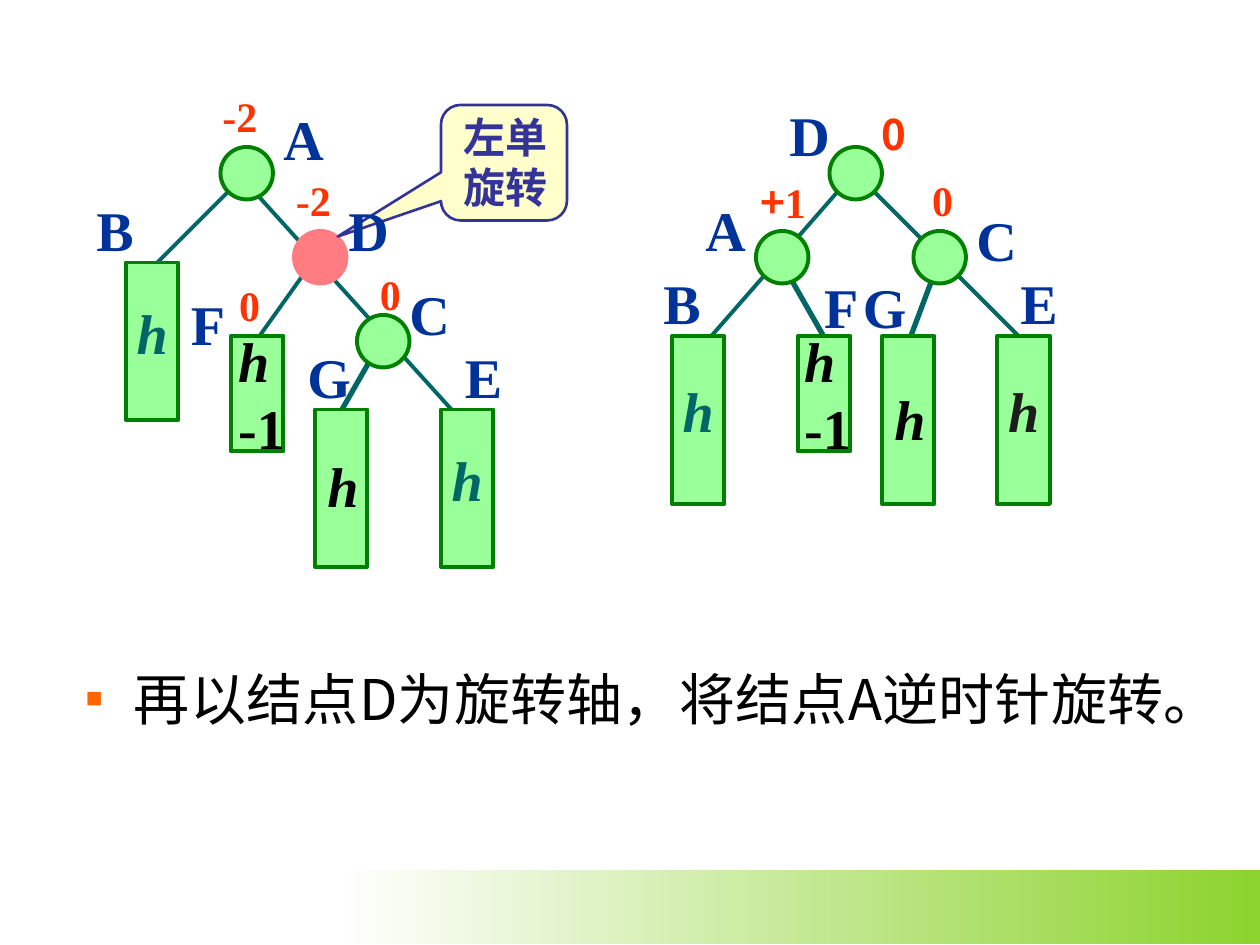
from lxml.etree import SubElement
from pptx import Presentation
from pptx.dml.color import RGBColor as RGB
from pptx.enum.shapes import MSO_CONNECTOR as CONN, MSO_SHAPE as SHAPE
from pptx.enum.text import MSO_ANCHOR as ANCHOR, PP_ALIGN as ALIGN
from pptx.oxml.ns import qn
from pptx.util import Inches, Pt

COLORS = {
    "white": "FFFFFF", "lime": "8CD32D", "black": "000000", "edge": "006666",
    "node": "99FF99", "border": "008000", "pivot": "FF7C80", "factor": "FF3300",
    "name": "003399", "note": "FFFFCC", "ink": "333399", "dark": "1C1C1C",
    "bullet": "FF6600",
}
SERIF, SANS = "Times New Roman", "Noto Sans CJK SC"

prs = Presentation()
prs.slide_width, prs.slide_height = Inches(10), Inches(7.5)
COL, ROW = prs.slide_width / 120, prs.slide_height / 90
s = prs.slides.add_slide(prs.slide_layouts[6])


def add_shape(kind, x, y, w, h, fill, line, width=2.25):
    sp = s.shapes.add_shape(kind, int(x * COL), int(y * ROW), int(w * COL), int(h * ROW))
    sp.shadow.inherit = False
    sp.fill.solid()
    sp.fill.fore_color.rgb = RGB.from_string(COLORS[fill])
    sp.line.color.rgb = RGB.from_string(COLORS[line])
    sp.line.width = Pt(width)
    return sp


def add_run(p, text, size, color, font=SERIF, bold=True, italic=False, leading=1.2):
    p.line_spacing = Pt(size * leading)
    r = p.add_run()
    r.text = text
    r.font.size, r.font.bold, r.font.italic = Pt(size), bold, italic
    r.font.color.rgb = RGB.from_string(COLORS[color])
    r.font.name = font
    SubElement(r.font._element, qn("a:ea"), typeface=SANS)


bar = add_shape(SHAPE.RECTANGLE, 32, 82.9, 88, 7, "white", "white")
bar.line.fill.background()
bar.fill.gradient()
bar.fill.gradient_angle = 0
for stop, color in zip(bar.fill.gradient_stops, ("white", "lime")):
    stop.color.rgb = RGB.from_string(COLORS[color])

edges = [
    (22, 18, 13, 27, 2.25), (24, 18, 43, 39, 2.25), (29, 26, 24, 33, 2.25), (36, 33, 32, 40, 3),
    (83, 18, 97, 32, 2.25), (80, 18, 66, 34, 2.25), (75, 26, 79, 33, 3), (89, 26, 86, 34, 3),
]
for x1, y1, x2, y2, width in edges:
    edge = s.shapes.add_connector(
        CONN.STRAIGHT, int(x1 * COL), int(y1 * ROW), int(x2 * COL), int(y2 * ROW))
    edge.line.color.rgb = RGB.from_string(COLORS["edge"])
    edge.line.width = Pt(width)
    SubElement(edge._element.spPr, qn("a:effectLst"))

subtrees = [
    (12, 25, 15, "edge"), (42, 39, 15, "edge"), (30, 39, 15, None), (22, 32, 11, None),
    (64, 32, 16, "edge"), (95, 32, 16, "dark"), (84, 32, 16, None), (76, 32, 11, None),
]
for x, y, h, color in subtrees:
    sp = add_shape(SHAPE.RECTANGLE, x, y, 5, h, "node", "border")
    if color:
        tf = sp.text_frame
        tf.word_wrap, tf.vertical_anchor = False, ANCHOR.MIDDLE
        p = tf.paragraphs[0]
        p.alignment = ALIGN.CENTER
        add_run(p, "h", 32, color, italic=True, leading=0.86)

for x, y in [(21, 14), (34, 30), (79, 14), (72, 22), (87, 22)]:
    add_shape(SHAPE.OVAL, x, y, 5, 5, "node", "border")
add_shape(SHAPE.OVAL, 28, 22, 5, 5, "pivot", "pivot")

callout = add_shape(SHAPE.ROUNDED_RECTANGULAR_CALLOUT, 42, 10, 12, 11, "note", "ink", 1.5)
for i, value in enumerate((-1.32, 0.64, 0.17)):
    callout.adjustments[i] = value

names = [
    ("A", 25.8, 9.4, 6.2), ("B", 8, 18, 5.9), ("C", 37.8, 26, 6.2), ("D", 32, 18, 6.2),
    ("E", 43.1, 32, 5.9), ("F", 17, 27, 5.6), ("G", 28.1, 32, 6.5),
    ("A", 66, 18, 6.2), ("B", 62, 25, 5.9), ("C", 91.8, 19, 6.2), ("D", 74, 9, 6.2),
    ("E", 96, 25, 5.9), ("F", 77.3, 25.4, 5.6), ("G", 81, 25.4, 6.5),
]
factors = [
    ("-2", 20, 8, 5.8), ("-2", 27, 16, 5.8), ("0", 35, 25, 4.3), ("0", 21.6, 26, 4.3),
    ("0", 87.6, 16, 4.3),
]
height_runs = [[("h", 32, "black", SERIF, True, True)]]
short_runs = height_runs + [[("-1", 32, "black")]]
labels = [(x, y, w, [[(text, 32, "name")]]) for text, x, y, w in names]
labels += [(x, y, w, [[(text, 24, "factor")]]) for text, x, y, w in factors]
labels += [
    (82.8, 9.7, 4.7, [[("0", 24, "factor", SANS)]]),
    (71.2, 16.2, 9, [[("+", 24, "factor", SANS), ("1", 24, "factor")]]),
    (43, 10, 10.4, [[("左单", 24, "ink")], [("旋转", 24, "ink")]]),
    (30, 42.4, 5.4, height_runs), (84, 36, 5.4, height_runs),
    (21.5, 30.5, 9, short_runs), (75.4, 30.5, 9, short_runs),
]
for x, y, w, lines in labels:
    size = lines[0][0][1]
    h = len(lines) * size / 5 + 1.2
    tf = s.shapes.add_textbox(int(x * COL), int(y * ROW), int(w * COL), int(h * ROW)).text_frame
    tf.word_wrap = w == 9
    for i, runs in enumerate(lines):
        p = tf.add_paragraph() if i else tf.paragraphs[0]
        p.alignment = ALIGN.LEFT
        for run in runs:
            add_run(p, *run)

tf = s.shapes.add_textbox(int(7 * COL), int(62.7 * ROW), int(105 * COL), int(19 * ROW)).text_frame
tf.word_wrap = True
p = tf.paragraphs[0]
p.alignment = ALIGN.JUSTIFY
add_run(p, "再以结点D为旋转轴，将结点A逆时针旋转。", 32, "black", SANS, False)
pPr = p._p.get_or_add_pPr()
pPr.set("marL", str(Inches(0.38)))
pPr.set("indent", str(-Inches(0.38)))
SubElement(SubElement(pPr, qn("a:buClr")), qn("a:srgbClr"), val=COLORS["bullet"])
SubElement(pPr, qn("a:buSzPct"), val="30000")
SubElement(pPr, qn("a:buFont"), typeface=SANS)
SubElement(pPr, qn("a:buChar"), char="■")

prs.save("out.pptx")
